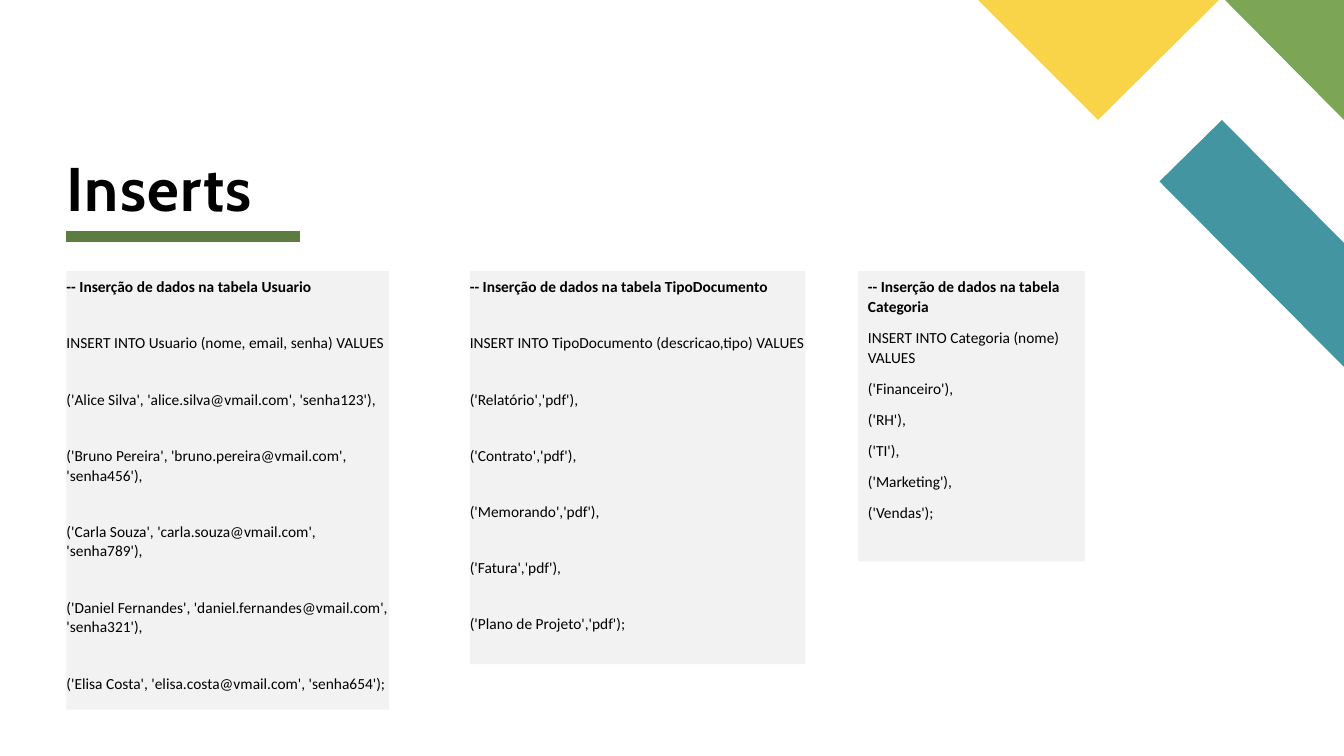
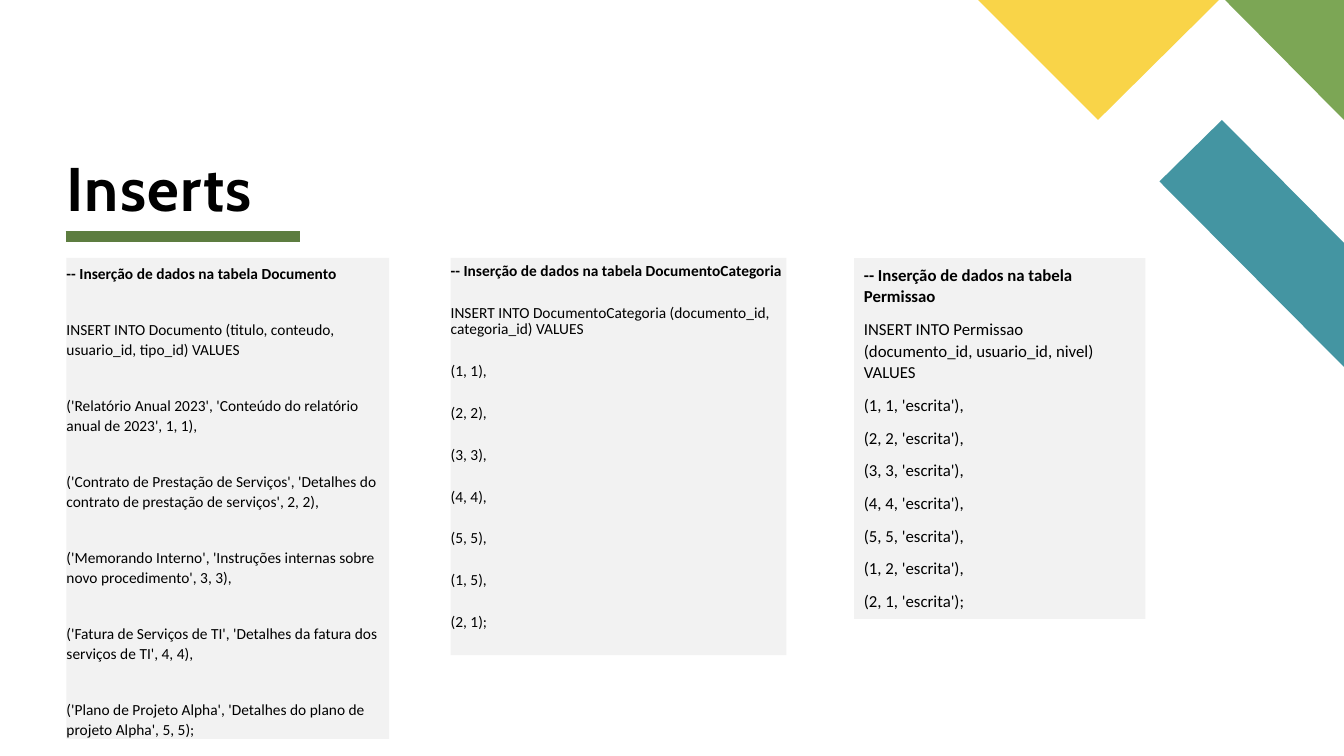
from pptx import Presentation
from pptx.dml.color import RGBColor
from pptx.enum.shapes import MSO_CONNECTOR as Connector, MSO_SHAPE as Preset
from pptx.enum.text import MSO_ANCHOR as Anchor, PP_ALIGN as Align
from pptx.util import Inches, Pt
from lxml import etree

DRAWING_NS = "http://schemas.openxmlformats.org/drawingml/2006/main"
BLACK = "000000"
PANEL_GREY = "F2F2F2"
RULE_GREEN = "5D7D40"
TITLE_FONT = "Cabin"
BODY_FONT = "Calibri"

CORNER_SHAPES = [
    ("4495A2", [(13.33, 3.64), (13.33, 2.41), (12.12, 1.19), (11.5, 1.8)]),
    ("7CA655", [(13.33, 1.19), (13.33, 0), (12.15, 0)]),
    ("F9D448", [(9.7, 0), (10.89, 1.19), (12.09, 0)]),
]

SPACED = {"line": 1.07, "before": 18, "after": 8}
TIGHT = {"line": 0.9, "before": 18}
COMPACT = {"line": 1.07, "after": 8}
FLUSH = (0, 0.05, 0, 0)
PADDED = (0.1, 0.05, 0.1, 0.05)

SLIDES = [
    (2.69, [
        (0.66, 3.2, 4.35, FLUSH, SPACED, [
            "-- Inserção de dados na tabela Usuario",
            "INSERT INTO Usuario (nome, email, senha) VALUES",
            "('Alice Silva', 'alice.silva@vmail.com', 'senha123'),",
            "('Bruno Pereira', 'bruno.pereira@vmail.com', 'senha456'),",
            "('Carla Souza', 'carla.souza@vmail.com', 'senha789'),",
            "('Daniel Fernandes', 'daniel.fernandes@vmail.com', 'senha321'),",
            "('Elisa Costa', 'elisa.costa@vmail.com', 'senha654');",
        ]),
        (4.66, 3.33, 3.9, FLUSH, SPACED, [
            "-- Inserção de dados na tabela TipoDocumento",
            "INSERT INTO TipoDocumento (descricao,tipo) VALUES",
            "('Relatório','pdf'),",
            "('Contrato','pdf'),",
            "('Memorando','pdf'),",
            "('Fatura','pdf'),",
            "('Plano de Projeto','pdf');",
        ]),
        (8.51, 2.25, 2.88, PADDED, COMPACT, [
            "-- Inserção de dados na tabela Categoria",
            "INSERT INTO Categoria (nome) VALUES",
            "('Financeiro'),",
            "('RH'),",
            "('TI'),",
            "('Marketing'),",
            "('Vendas');",
        ]),
    ]),
    (2.56, [
        (0.66, 3.2, 4.77, FLUSH, SPACED, [
            "-- Inserção de dados na tabela Documento",
            "INSERT INTO Documento (titulo, conteudo, usuario_id, tipo_id) VALUES",
            "('Relatório Anual 2023', 'Conteúdo do relatório anual de 2023', 1, 1),",
            "('Contrato de Prestação de Serviços', "
            "'Detalhes do contrato de prestação de serviços', 2, 2),",
            "('Memorando Interno', 'Instruções internas sobre novo procedimento', 3, 3),",
            "('Fatura de Serviços de TI', 'Detalhes da fatura dos serviços de TI', 4, 4),",
            "('Plano de Projeto Alpha', 'Detalhes do plano de projeto Alpha', 5, 5);",
        ]),
        (4.47, 3.33, 3.94, FLUSH, TIGHT, [
            "-- Inserção de dados na tabela DocumentoCategoria",
            "INSERT INTO DocumentoCategoria (documento_id, categoria_id) VALUES",
            "(1, 1),",
            "(2, 2),",
            "(3, 3),",
            "(4, 4),",
            "(5, 5),",
            "(1, 5),",
            "(2, 1);",
        ]),
        (8.47, 2.89, 3.58, PADDED, {**COMPACT, "size": 12}, [
            "-- Inserção de dados na tabela Permissao",
            "INSERT INTO Permissao (documento_id, usuario_id, nivel) VALUES",
            "(1, 1, 'escrita'),",
            "(2, 2, 'escrita'),",
            "(3, 3, 'escrita'),",
            "(4, 4, 'escrita'),",
            "(5, 5, 'escrita'),",
            "(1, 2, 'escrita'),",
            "(2, 1, 'escrita');",
        ]),
    ]),
]


def paint(color_format, hex_color):
    color_format.rgb = RGBColor.from_string(hex_color)


def fill_plain(shape, hex_color):
    shape.shadow.inherit = False
    shape.fill.solid()
    paint(shape.fill.fore_color, hex_color)
    shape.line.fill.background()


def write_text(shape, lines, size=11, font=BODY_FONT, line=1.0, before=0, after=0,
               spacing=0, anchor=Anchor.TOP, insets=(0, 0, 0, 0)):
    frame = shape.text_frame
    frame.word_wrap = True
    frame.vertical_anchor = anchor
    (frame.margin_left, frame.margin_top,
     frame.margin_right, frame.margin_bottom) = map(Inches, insets)
    for index, text in enumerate(lines):
        paragraph = frame.add_paragraph() if index else frame.paragraphs[0]
        paragraph.alignment = Align.LEFT
        paragraph.line_spacing = line
        paragraph.space_before = Pt(before)
        paragraph.space_after = Pt(after)
        run = paragraph.add_run()
        run.text = text
        run.font.name = font
        run.font.size = Pt(size)
        run.font.bold = index == 0
        paint(run.font.color, BLACK)
        if spacing:
            run.font._element.set("spc", str(spacing * 100))


def add_corner(slide):
    for hex_color, points in CORNER_SHAPES:
        start, *others = [(Inches(x), Inches(y)) for x, y in points]
        builder = slide.shapes.build_freeform(*start)
        builder.add_line_segments(others, close=True)
        fill_plain(builder.convert_to_shape(), hex_color)


def add_title(slide, text, left, top, width, height):
    title = slide.shapes.add_textbox(*map(Inches, (left, top, width, height)))
    write_text(title, [text], size=44, font=TITLE_FONT, line=0.8, spacing=1,
               anchor=Anchor.BOTTOM)
    rule_top = top + height + 0.13
    rule = slide.shapes.add_connector(
        Connector.STRAIGHT,
        *map(Inches, (left - 0.01, rule_top, left + 2.32, rule_top)))
    paint(rule.line.color, RULE_GREEN)
    rule.line.width = Pt(8)
    etree.SubElement(rule._element.spPr, f"{{{DRAWING_NS}}}effectLst")


def add_code_panel(slide, left, top, width, height, insets, text_format, lines):
    panel = slide.shapes.add_shape(
        Preset.RECTANGLE, *map(Inches, (left, top, width, height)))
    fill_plain(panel, PANEL_GREY)
    write_text(panel, lines, insets=insets, **text_format)


def add_inserts_slide(presentation, panels_top, panels):
    slide = presentation.slides.add_slide(presentation.slide_layouts[6])
    add_corner(slide)
    add_title(slide, "Inserts", 0.66, 1.58, 2.5, 0.64)
    for left, *panel in panels:
        add_code_panel(slide, left, panels_top, *panel)


def main():
    presentation = Presentation()
    presentation.slide_width = Inches(13.33)
    presentation.slide_height = Inches(7.5)
    for panels_top, panels in SLIDES:
        add_inserts_slide(presentation, panels_top, panels)
    presentation.save("out.pptx")


if __name__ == "__main__":
    main()
